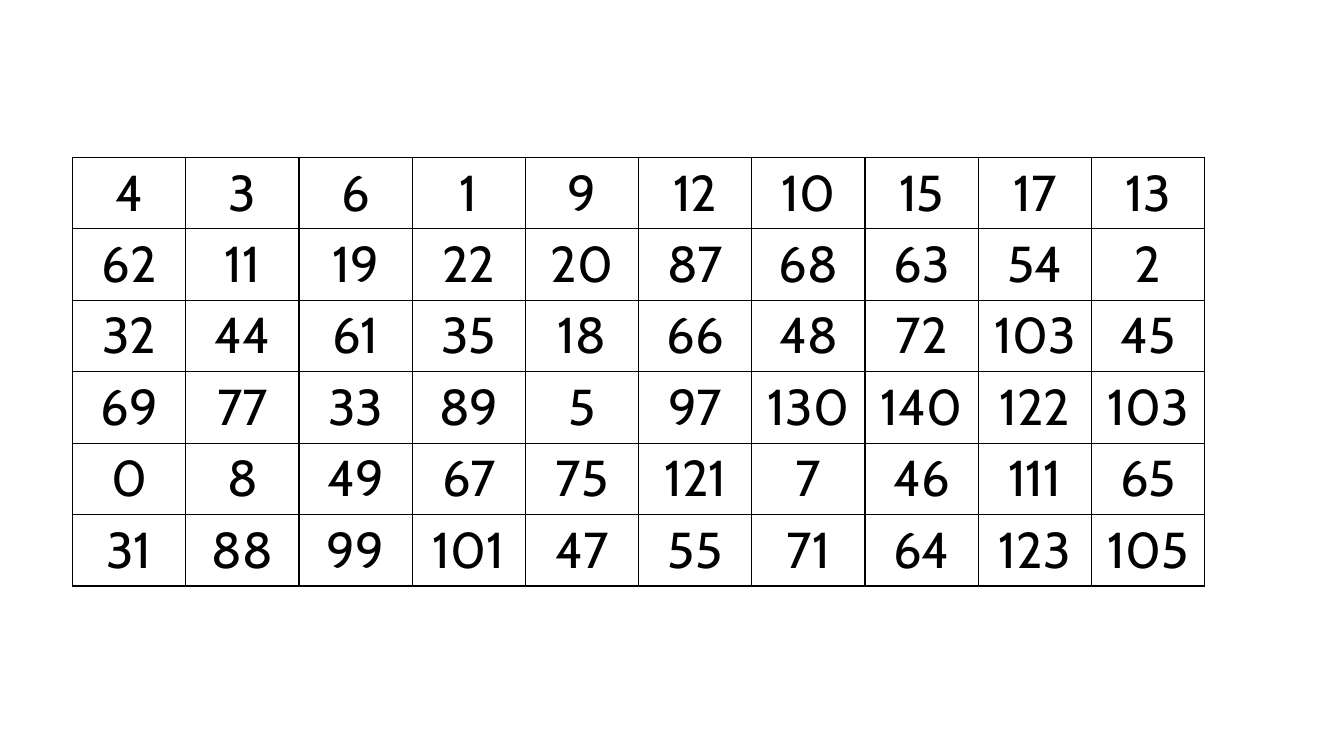
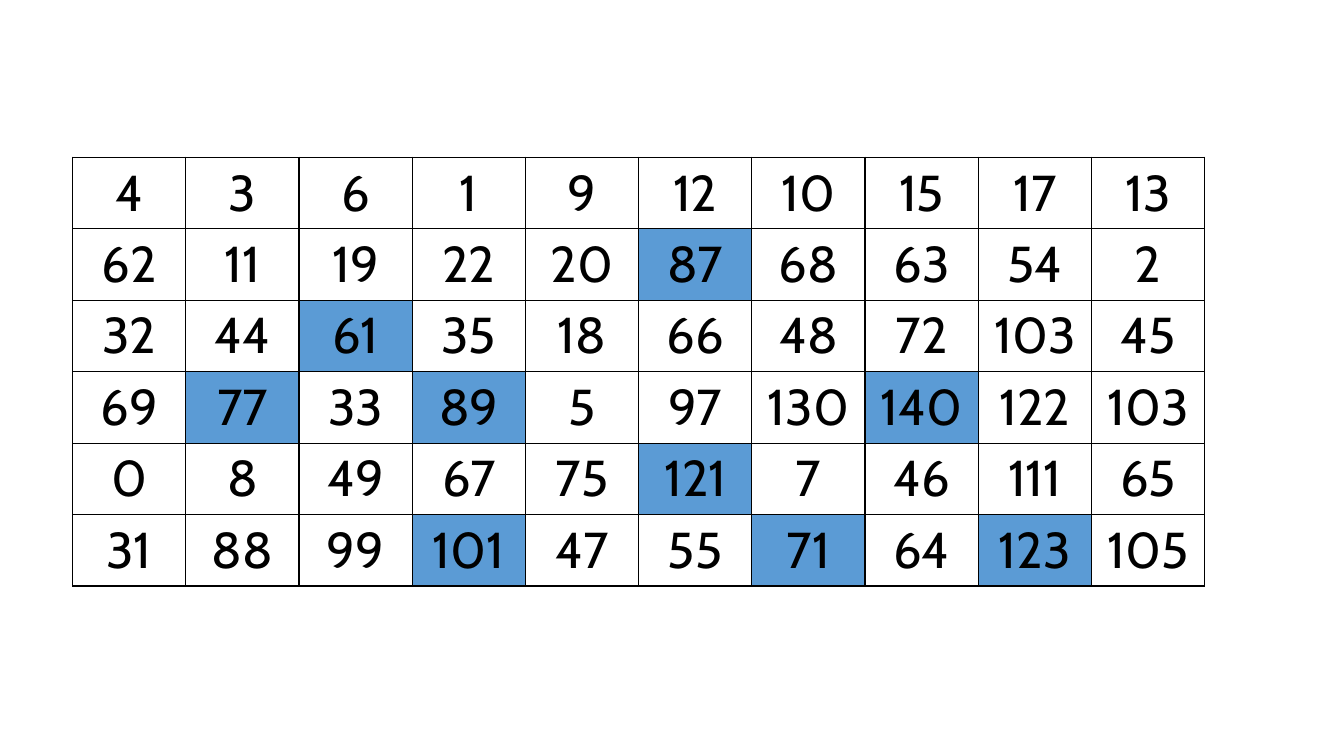
from pptx import Presentation
from pptx.dml.color import RGBColor as RGB
from pptx.enum.text import PP_ALIGN
from pptx.oxml import parse_xml
from pptx.oxml.ns import nsdecls
from pptx.util import Inches, Pt

COLORS = {"ink": "000000", "paper": "FFFFFF", "highlight": "5B9BD5"}
FONT, SIZE = "Cabin", 36

NUMBERS = [
    [4, 3, 6, 1, 9, 12, 10, 15, 17, 13],
    [62, 11, 19, 22, 20, 87, 68, 63, 54, 2],
    [32, 44, 61, 35, 18, 66, 48, 72, 103, 45],
    [69, 77, 33, 89, 5, 97, 130, 140, 122, 103],
    [0, 8, 49, 67, 75, 121, 7, 46, 111, 65],
    [31, 88, 99, 101, 47, 55, 71, 64, 123, 105],
]
HIGHLIGHTS = [(), (87, 61, 77, 89, 140, 121, 101, 71, 123)]

LEFT, TOP, WIDTH, HEIGHT = 0.72, 1.56, 11.23, 4.2


def add_borders(cell):
    tcPr = cell._tc.get_or_add_tcPr()
    for side in "LRTB":
        tcPr.append(parse_xml(
            f'<a:ln{side} {nsdecls("a")} w="{Pt(1)}"><a:solidFill>'
            f'<a:srgbClr val="{COLORS["ink"]}"/></a:solidFill></a:ln{side}>'))


def style_cell(cell, number, color):
    cell.text_frame.text = str(number)
    p = cell.text_frame.paragraphs[0]
    p.alignment = PP_ALIGN.CENTER
    font = p.runs[0].font
    font.name, font.size = FONT, Pt(SIZE)
    font.color.rgb = RGB.from_string(COLORS["ink"])
    add_borders(cell)
    cell.fill.solid()
    cell.fill.fore_color.rgb = RGB.from_string(COLORS[color])


def add_number_grid(s, highlighted):
    box = [Inches(v) for v in (LEFT, TOP, WIDTH, HEIGHT)]
    table = s.shapes.add_table(len(NUMBERS), len(NUMBERS[0]), *box).table
    table.first_row = table.horz_banding = False
    for r, row in enumerate(NUMBERS):
        for c, number in enumerate(row):
            color = "highlight" if number in highlighted else "paper"
            style_cell(table.cell(r, c), number, color)


def main():
    prs = Presentation()
    prs.slide_width, prs.slide_height = Inches(13.33), Inches(7.5)
    for highlighted in HIGHLIGHTS:
        s = prs.slides.add_slide(prs.slide_layouts[6])
        add_number_grid(s, highlighted)
    prs.save("out.pptx")


if __name__ == "__main__":
    main()
